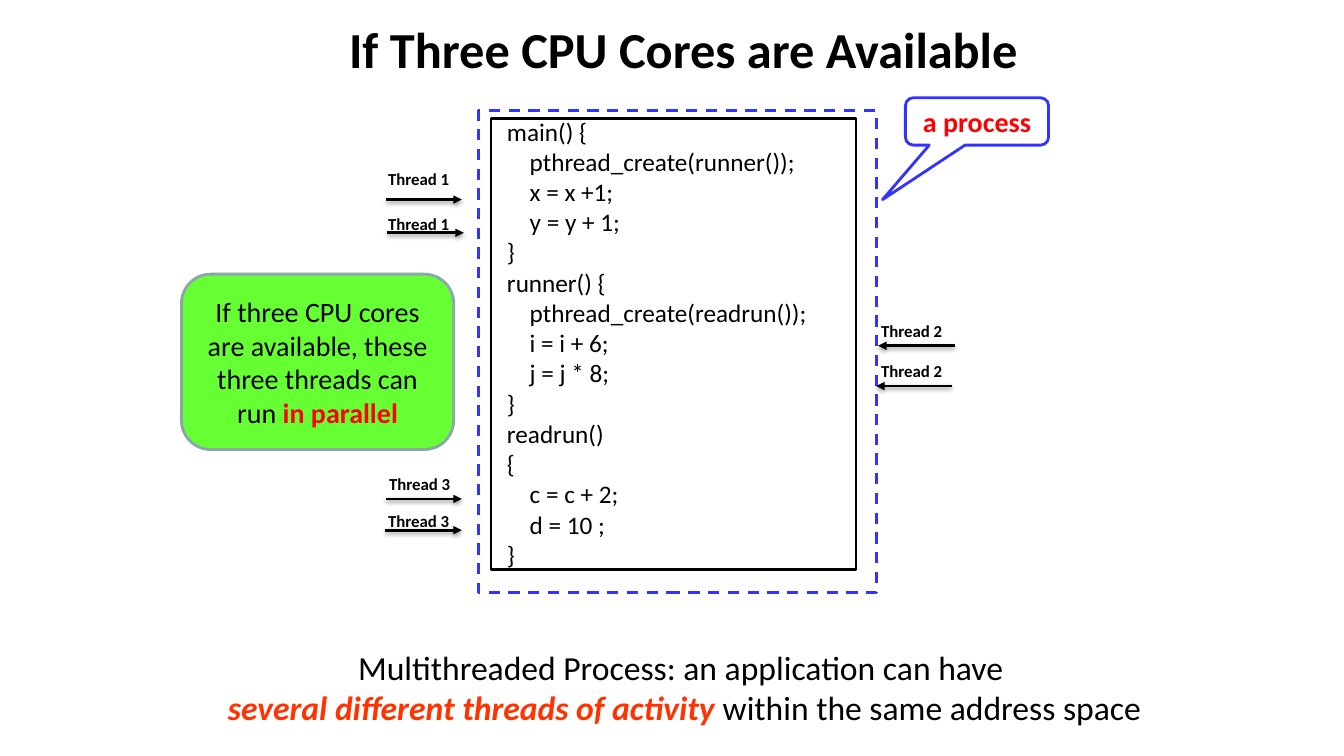
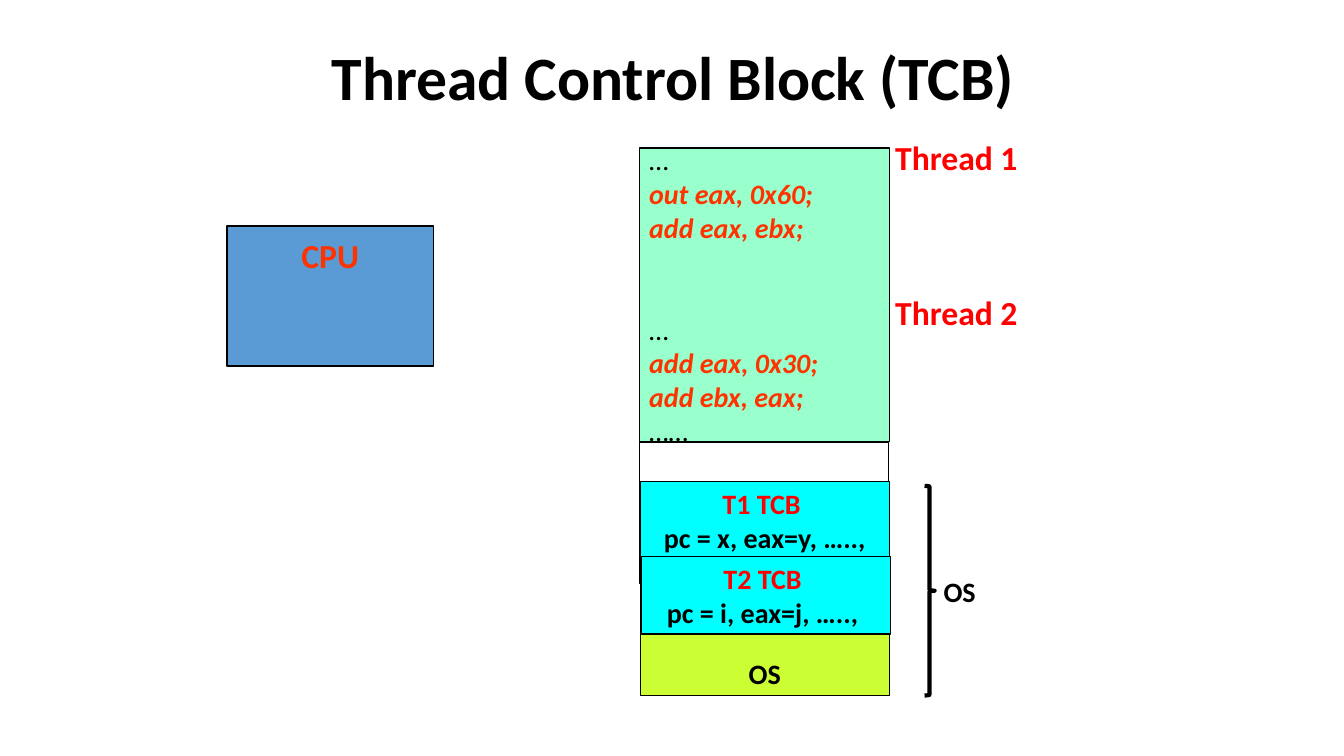
"""Build two slides on threads running in parallel and thread control blocks."""
from lxml import etree
from pptx import Presentation
from pptx.dml.color import RGBColor
from pptx.enum.dml import MSO_LINE
from pptx.enum.shapes import MSO_CONNECTOR, MSO_SHAPE
from pptx.enum.text import MSO_ANCHOR, PP_ALIGN
from pptx.oxml.ns import qn
from pptx.util import Pt

PX = 9144
FONT = "Calibri"
BLACK = RGBColor(0x00, 0x00, 0x00)
WHITE = RGBColor(0xFF, 0xFF, 0xFF)
RED = RGBColor(0xFF, 0x00, 0x00)
ORANGE = RGBColor(0xFF, 0x33, 0x00)
BLUE = RGBColor(0x33, 0x33, 0xFF)
GREEN = RGBColor(0x66, 0xFF, 0x33)
GREY = RGBColor(0x8A, 0xA6, 0xA8)
MINT = RGBColor(0x99, 0xFF, 0xCC)
LIME = RGBColor(0xCC, 0xFF, 0x33)
CYAN = RGBColor(0x00, 0xFF, 0xFF)
STEEL = RGBColor(0x5B, 0x9B, 0xD5)

RECT = MSO_SHAPE.RECTANGLE
ROUNDED = MSO_SHAPE.ROUNDED_RECTANGLE
CALLOUT = MSO_SHAPE.ROUNDED_RECTANGULAR_CALLOUT
BRACE = MSO_SHAPE.RIGHT_BRACE
STRAIGHT = MSO_CONNECTOR.STRAIGHT
DASH = MSO_LINE.DASH
LEFT, CENTER = PP_ALIGN.LEFT, PP_ALIGN.CENTER
TOP, MIDDLE, BOTTOM = MSO_ANCHOR.TOP, MSO_ANCHOR.MIDDLE, MSO_ANCHOR.BOTTOM


def add_box(page, preset, area, fill, line, width):
    box = page.shapes.add_shape(preset, *[value * PX for value in area])
    box.shadow.inherit = False
    if fill is None:
        box.fill.background()
    else:
        box.fill.solid()
        box.fill.fore_color.rgb = fill
    box.line.color.rgb = line
    box.line.width = Pt(width)
    return box


def add_text(page, target, lines, size, align=LEFT, anchor=TOP):
    if isinstance(target, tuple):
        target = page.shapes.add_textbox(*[value * PX for value in target])
    frame = target.text_frame
    frame.word_wrap = True
    frame.vertical_anchor = anchor
    for number, line in enumerate(lines):
        para = frame.add_paragraph() if number else frame.paragraphs[0]
        para.alignment = align
        for text, color, style in line:
            span = para.add_run()
            span.text = text
            span.font.name = FONT
            span.font.size = Pt(size)
            span.font.color.rgb = color
            span.font.bold = "b" in style
            span.font.italic = "i" in style
    return frame


deck = Presentation()
deck.slide_width = 1333 * PX
deck.slide_height = 750 * PX
blank = deck.slide_layouts[6]

titles = [
    ("If Three CPU Cores are Available", (228, 2, 900, 92), 36),
    ("Thread Control Block (TCB)", (68, 13, 1200, 125), 44),
]
pages = []
for title, area, size in titles:
    page = deck.slides.add_slide(blank)
    add_text(page, area, [[(title, BLACK, "b")]], size, CENTER, MIDDLE)
    pages.append(page)
cores_page, control_page = pages

program = [
    "main() {",
    "    pthread_create(runner());",
    "    x = x +1;",
    "    y = y + 1;",
    "}",
    "runner() {",
    "    pthread_create(readrun());",
    "    i = i + 6;",
    "    j = j * 8;",
    "}",
    "readrun()",
    "{",
    "    c = c + 2;",
    "    d = 10 ;",
    "}",
]
add_box(cores_page, RECT, (487, 118, 362, 447), WHITE, BLACK, 2)
add_text(cores_page, (493, 110, 331, 464), [[(code, BLACK, "")] for code in program], 18)
process_frame = add_box(cores_page, RECT, (475, 110, 394, 478), None, BLUE, 2)
process_frame.line.dash_style = DASH

arrows = [
    ("Thread 1", 375, 162, 383, 458, 198),
    ("Thread 1", 375, 207, 384, 460, 231),
    ("Thread 2", 864, 313, 947, 871, 343),
    ("Thread 2", 864, 353, 944, 869, 383),
    ("Thread 3", 376, 465, 383, 458, 495),
    ("Thread 3", 375, 502, 382, 458, 526),
]
for label, left, top, start, end, height in arrows:
    add_text(cores_page, (left, top, 102, 30), [[(label, BLACK, "b")]], 12)
    arrow = cores_page.shapes.add_connector(
        STRAIGHT, start * PX, height * PX, end * PX, height * PX)
    arrow.line.color.rgb = BLACK
    arrow.line.width = Pt(2)
    outline = arrow.line._get_or_add_ln()
    etree.SubElement(outline, qn("a:tailEnd"), type="triangle")

callout = add_box(cores_page, CALLOUT, (898, 97, 142, 47), None, BLUE, 2)
for index, value in enumerate((-0.66, 1.65, 0.17)):
    callout.adjustments[index] = value
add_text(cores_page, callout, [[("a process", RED, "b")]], 20, CENTER, MIDDLE)

remark = add_box(cores_page, ROUNDED, (180, 272, 270, 174), GREEN, GREY, 2)
add_text(cores_page, remark, [[
    ("If three CPU cores are available, these three threads can run ", BLACK, ""),
    ("in parallel", RED, "b"),
]], 20, CENTER, MIDDLE)

add_text(cores_page, (211, 637, 936, 91), [
    [("Multithreaded Process: an application can have ", BLACK, "")],
    [("several different threads of activity", ORANGE, "bi"),
     (" within the same address space", BLACK, "")],
], 24, CENTER)

instructions = add_box(control_page, RECT, (634, 147, 248, 291), MINT, BLACK, 1)
frame = add_text(control_page, instructions, [
    [("…", BLACK, "")],
    [("out eax, 0x60;", ORANGE, "bi")],
    [("add eax, ebx;", ORANGE, "bi")],
    [("…", BLACK, "")],
    [("add eax, 0x30;", ORANGE, "bi")],
    [("add ebx, eax;", ORANGE, "bi")],
    [("……", BLACK, "")],
], 20, LEFT, MIDDLE)
frame.paragraphs[3].space_before = Pt(49)

add_box(control_page, RECT, (634, 439, 247, 140), None, BLACK, 1)
system = add_box(control_page, RECT, (635, 479, 247, 211), LIME, BLACK, 1)
add_text(control_page, system, [[("OS", BLACK, "b")]], 20, CENTER, BOTTOM)

blocks = [
    ("T1 TCB ", "pc = x, eax=y, …..,", 635, 478),
    ("T2 TCB ", "pc = i, eax=j, ….., ", 636, 552),
]
for name, state, left, top in blocks:
    block = add_box(control_page, RECT, (left, top, 247, 77), CYAN, BLACK, 1)
    add_text(control_page, block, [[(name, RED, "b")], [(state, BLACK, "b")]],
             20, CENTER, MIDDLE)

processor = add_box(control_page, RECT, (225, 224, 205, 139), STEEL, BLACK, 1)
frame = add_text(control_page, processor, [[("CPU", ORANGE, "b")]], 24, CENTER)
frame.margin_top = 9 * PX

for label, top in (("Thread 1", 131), ("Thread 2", 285)):
    add_text(control_page, (878, top, 143, 50), [[(label, RED, "b")]], 24)

add_box(control_page, BRACE, (917, 482, 10, 208), None, BLACK, 3)
add_text(control_page, (926, 565, 70, 44), [[("OS", BLACK, "b")]], 20)

deck.save("out.pptx")
